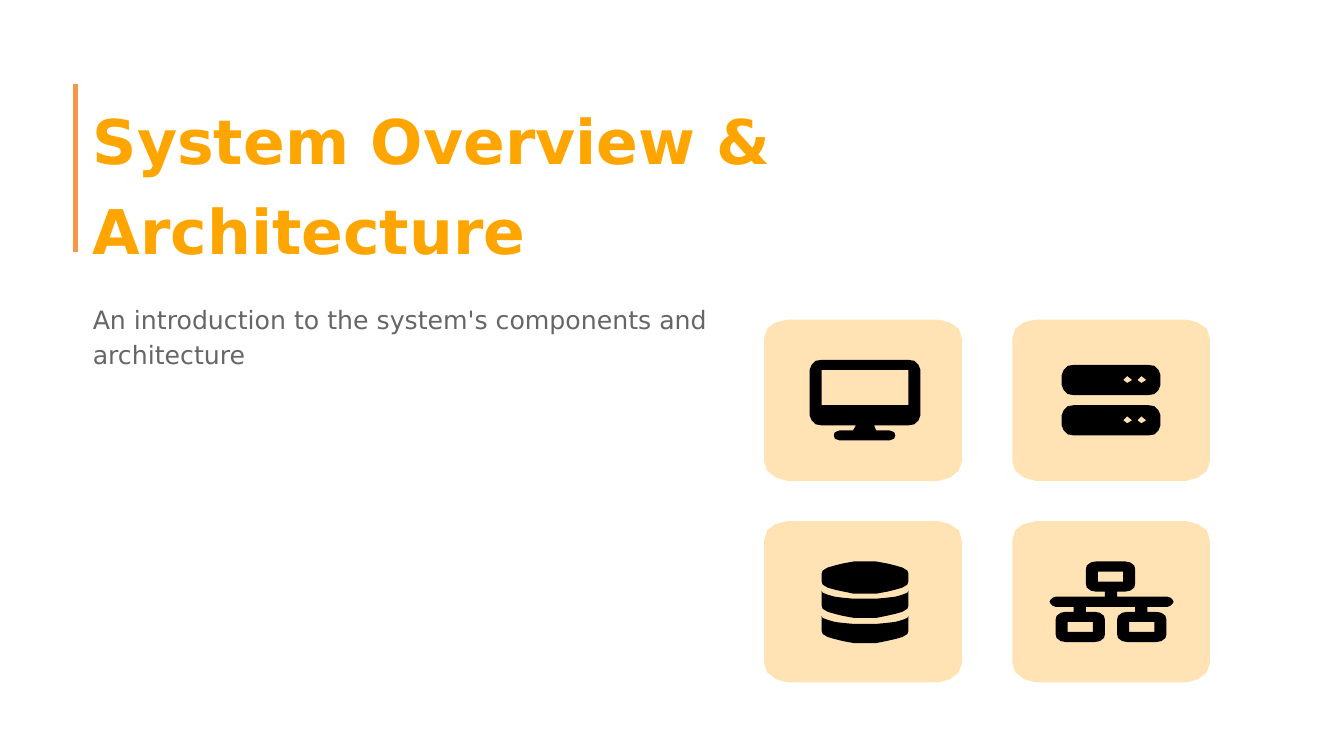
"""Build the System Overview & Architecture title slide."""
from math import cos, pi, sin

from lxml.etree import SubElement
from pptx import Presentation
from pptx.dml.color import RGBColor
from pptx.enum.shapes import MSO_CONNECTOR
from pptx.enum.text import MSO_ANCHOR
from pptx.oxml.ns import qn
from pptx.util import Inches, Pt

AMBER = RGBColor(0xFF, 0xA5, 0x00)
GREY = RGBColor(0x66, 0x66, 0x66)
CREAM = RGBColor(0xFF, 0xE3, 0xB4)
BLACK = RGBColor(0x00, 0x00, 0x00)
CORAL = RGBColor(0xF7, 0x96, 0x46)
UNIT = Inches(0.01)


def box(x, y, wide, high, rx=0, ry=0, steps=3):
    """Return the points of a box with corners rounded in steps."""
    hubs = [(x + wide - rx, y + high - ry), (x + rx, y + high - ry),
            (x + rx, y + ry), (x + wide - rx, y + ry)]
    points = []
    for turn, (hub_x, hub_y) in enumerate(hubs):
        for step in range(steps + 1):
            angle = (turn + step / steps) * pi / 2
            points.append((hub_x + rx * cos(angle), hub_y + ry * sin(angle)))
    return points


def draw(rings, left, top, color):
    """Draw closed rings as one shape; inner rings become holes."""
    pen = slide.shapes.build_freeform(*rings[0][0], scale=UNIT)
    pen.add_line_segments(rings[0][1:], close=True)
    for ring in rings[1:]:
        pen.move_to(*ring[0])
        pen.add_line_segments(ring[1:], close=True)
    shape = pen.convert_to_shape(left * UNIT, top * UNIT)
    shape.shadow.inherit = False
    shape.fill.solid()
    shape.fill.fore_color.rgb = color
    shape.line.fill.background()


deck = Presentation()
deck.slide_width, deck.slide_height = Inches(13.33), Inches(7.5)
slide = deck.slides.add_slide(deck.slide_layouts[6])

texts = [
    ("System Overview & Architecture", 83, 737, 182, 3, 44, True, AMBER, Pt(64.5)),
    ("An introduction to the system's components and architecture",
     296, 678, 68, 1, 18, False, GREY, 1.16),
]
for words, top, wide, high, inset, size, bold, color, pitch in texts:
    frame = slide.shapes.add_textbox(
        92 * UNIT, top * UNIT, wide * UNIT, high * UNIT).text_frame
    frame.word_wrap = True
    frame.vertical_anchor = MSO_ANCHOR.TOP
    frame.margin_left = frame.margin_right = frame.margin_bottom = 0
    frame.margin_top = inset * UNIT
    frame.text = words
    line = frame.paragraphs[0]
    line.line_spacing = pitch
    font = line.runs[0].font
    font.name, font.size, font.bold = "DejaVu Sans", Pt(size), bold
    font.color.rgb = color

screen = [
    box(45, 40, 110, 65, 12, 10),
    box(57, 50, 86, 35),
    [(91, 105), (109, 105), (111, 110), (88, 110)],
    box(69, 110, 61, 10, 6, 5),
]

server = []
for top in (45, 85):
    server.append(box(49, top, 98, 30, 12, 10))
    for left in (110, 124):
        server.append(box(left, top + 11, 9, 7, 4.5, 3.5, 1))

store = [box(57, 40, 86, 32, 43, 12, 6)]
arc = [(100 - 43 * cos(i * pi / 12), sin(i * pi / 12)) for i in range(13)]
for top in (69, 94):
    upper = [(x, top + 8 * dip) for x, dip in arc]
    lower = [(x, top + 15 + 12 * dip) for x, dip in reversed(arc)]
    store.append(upper + lower)

network = [box(37, 75, 123, 10, 6, 5)]
for left, top in ((73, 40), (43, 90), (104, 90)):
    network.append(box(left, top, 49, 30, 10, 8))
    network.append(box(left + 12, top + 10, 25, 10))
for left, top in ((92, 70), (61, 85), (122, 85)):
    network.append(box(left, top, 12, 5))

for index, icon in enumerate((screen, server, store, network)):
    row, col = divmod(index, 2)
    left, top = 758 + col * 246, 317 + row * 200
    draw([box(0, 0, 196, 160, 23, 19)], left, top, CREAM)
    draw(icon, left, top, BLACK)

rule = slide.shapes.add_connector(
    MSO_CONNECTOR.STRAIGHT, 75 * UNIT, 83 * UNIT, 75 * UNIT, 250 * UNIT)
rule.line.color.rgb = CORAL
rule.line.width = Pt(4)
SubElement(rule._element.spPr, qn("a:effectLst"))

deck.save("out.pptx")
